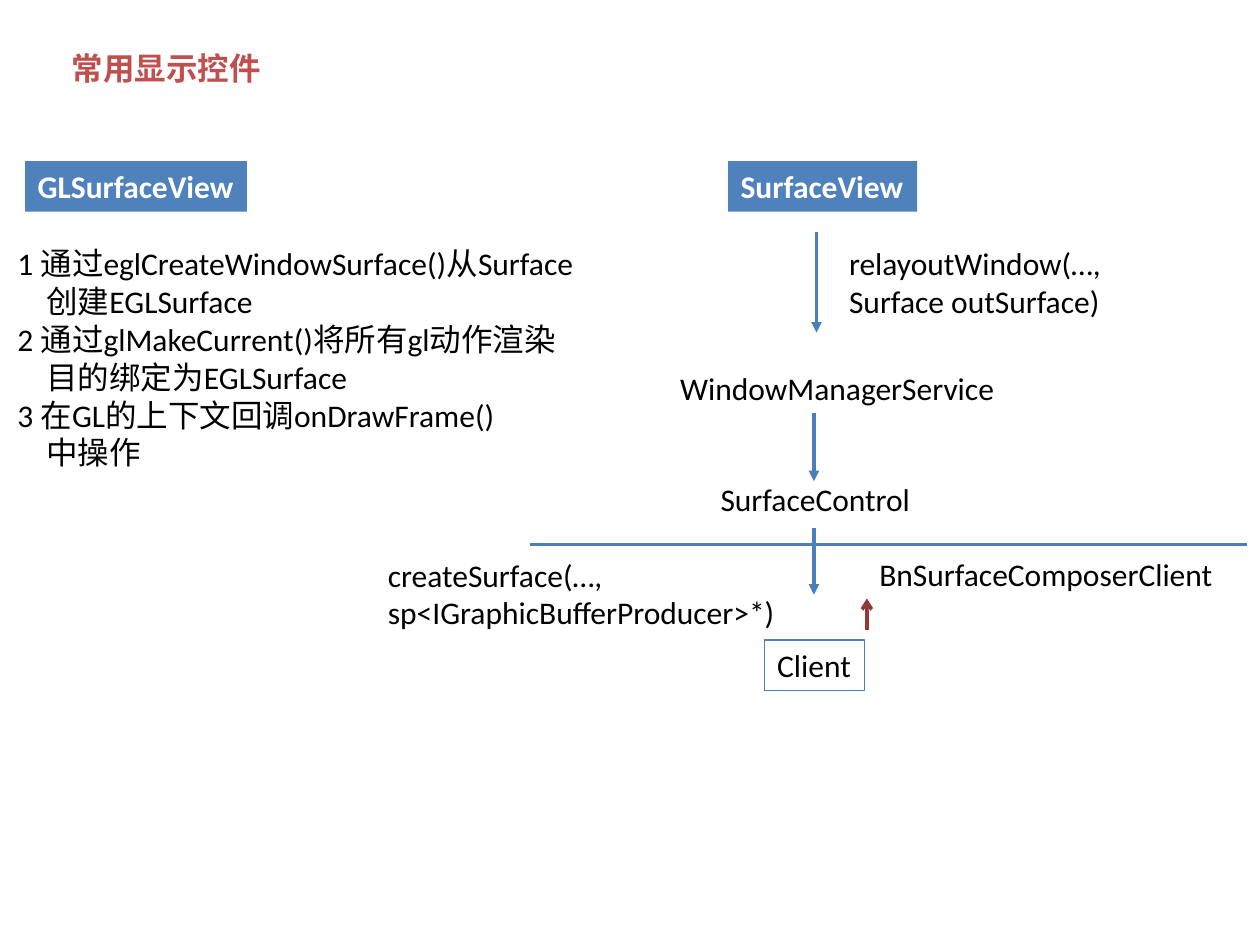
from pptx import Presentation
from pptx.dml.color import RGBColor
from pptx.enum.shapes import MSO_CONNECTOR, MSO_SHAPE
from pptx.enum.text import MSO_ANCHOR, MSO_AUTO_SIZE, PP_ALIGN
from pptx.oxml.ns import qn
from pptx.util import Inches, Pt
from lxml.etree import SubElement

BLUE = RGBColor(0x4F, 0x81, 0xBD)
STEEL = RGBColor(0x4B, 0x7E, 0xBC)
RED = RGBColor(0xC0, 0x50, 0x4D)
WINE = RGBColor(0x95, 0x37, 0x35)
BLACK = RGBColor(0, 0, 0)
WHITE = RGBColor(0xFF, 0xFF, 0xFF)


class Deck:
    font = "Calibri"
    size = Pt(18)
    indent = Inches(0.23)

    def __init__(self, wide, high):
        self.file = Presentation()
        self.file.slide_width = Inches(wide)
        self.file.slide_height = Inches(high)
        self.slide = self.file.slides.add_slide(self.file.slide_layouts[6])

    def set_text(self, shape, text, color, bold=False, wrap=False):
        """Fill a shape with text; a line that starts with a tab is indented."""
        frame = shape.text_frame
        frame.text = text.replace("\t", "")
        frame.word_wrap = wrap
        frame.auto_size = MSO_AUTO_SIZE.SHAPE_TO_FIT_TEXT
        frame.vertical_anchor = MSO_ANCHOR.TOP
        for line, para in zip(text.split("\n"), frame.paragraphs):
            para.alignment = PP_ALIGN.LEFT
            if line.startswith("\t"):
                para._p.get_or_add_pPr().set("marL", str(int(self.indent)))
            for run in para.runs:
                run.font.name = self.font
                run.font.size = self.size
                run.font.bold = bold
                run.font.color.rgb = color

    def label(self, text, x, y, w, h=0.4, color=BLACK, **style):
        box = self.slide.shapes.add_textbox(
            Inches(x), Inches(y), Inches(w), Inches(h))
        self.set_text(box, text, color, **style)

    def box(self, text, x, y, w, color, fill=None, bold=False):
        box = self.slide.shapes.add_shape(
            MSO_SHAPE.RECTANGLE, Inches(x), Inches(y), Inches(w), Inches(0.4))
        box.shadow.inherit = False
        if fill is None:
            box.fill.background()
            box.line.color.rgb = BLUE
            box.line.width = Pt(0.75)
        else:
            box.fill.solid()
            box.fill.fore_color.rgb = fill
            box.line.fill.background()
        self.set_text(box, text, color, bold)

    def line(self, x1, y1, x2, y2, color=STEEL, head=None):
        line = self.slide.shapes.add_connector(
            MSO_CONNECTOR.STRAIGHT,
            Inches(x1), Inches(y1), Inches(x2), Inches(y2))
        line.line.color.rgb = color
        line.line.width = Pt(2)
        if head:
            SubElement(line.line._get_or_add_ln(), qn("a:tailEnd"), type=head)
        SubElement(line._element.spPr, qn("a:effectLst"))


def main():
    deck = Deck(10, 7.5)

    # Title and the two view headings
    deck.label("常用显示控件", 0.47, 0.34, 1.86, color=RED, bold=True, wrap=True)
    for name, x, w in (("GLSurfaceView", 0.2, 1.76), ("SurfaceView", 5.78, 1.5)):
        deck.box(name, x, 1.28, w, WHITE, fill=BLUE, bold=True)

    # Steps of the GL view
    steps = (
        "1 通过eglCreateWindowSurface()从Surface",
        "\t创建EGLSurface",
        "2 通过glMakeCurrent()将所有gl动作渲染",
        "\t目的绑定为EGLSurface",
        "3 在GL的上下文回调onDrawFrame()",
        "\t中操作",
    )
    deck.label("\n".join(steps), 0.04, 1.89, 4.65, 1.92, wrap=True)

    # Call chain of the surface view
    deck.label("relayoutWindow(…,\nSurface outSurface)", 6.64, 1.89, 2.22, 0.71)
    deck.label("WindowManagerService", 5.3, 2.88, 2.72)
    deck.label("SurfaceControl", 5.62, 3.76, 1.72)
    for x, top, end in ((6.48, 1.84, 2.64), (6.46, 3.28, 3.82), (6.46, 4.19, 4.72)):
        deck.line(x, top, x, end, head="triangle")

    # Process border and the composer side
    deck.line(4.21, 4.32, 9.9, 4.32)
    deck.label("createSurface(…,\nsp<IGraphicBufferProducer>*)", 2.98, 4.36, 3.31, 0.71)
    deck.label("BnSurfaceComposerClient", 6.88, 4.36, 2.88)
    deck.box("Client", 6.07, 5.08, 0.79, BLACK)
    deck.line(6.88, 5, 6.88, 4.75, color=WINE, head="arrow")

    deck.file.save("out.pptx")


if __name__ == "__main__":
    main()
